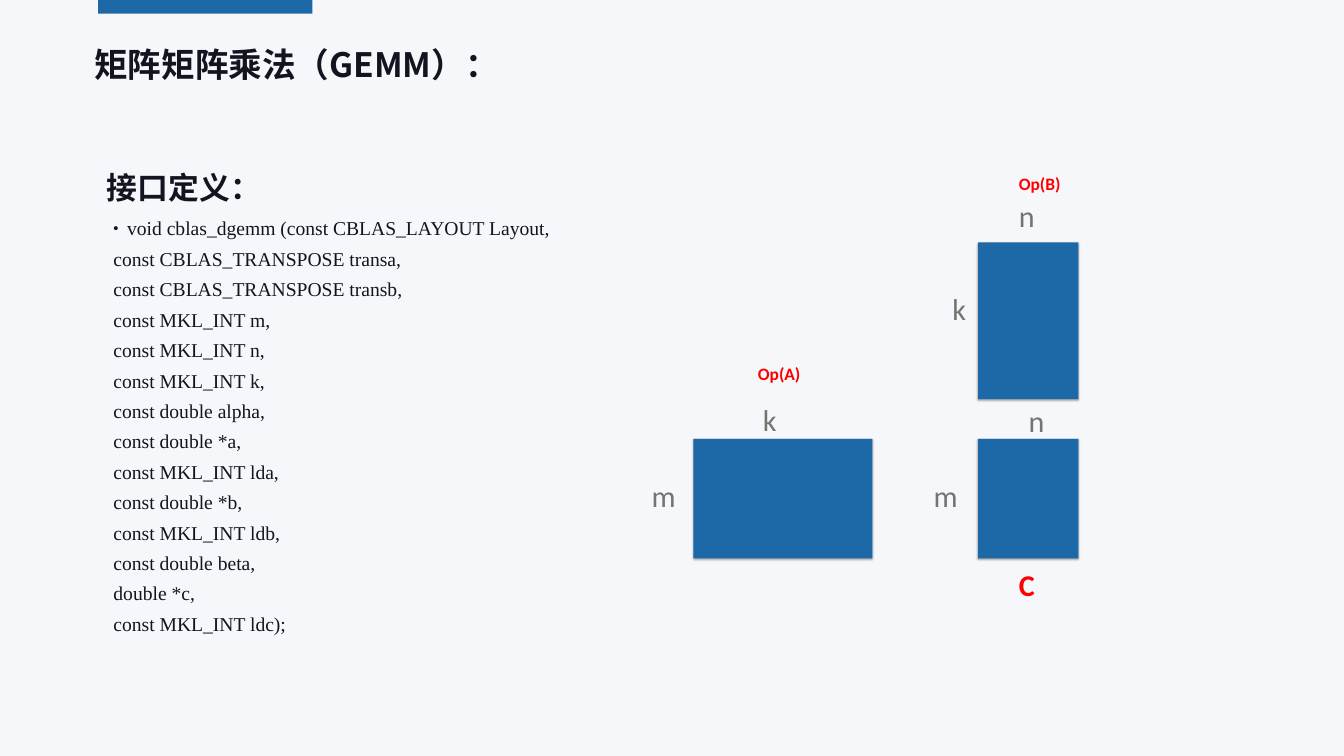
"""Build the GEMM interface slide with its matrix shape diagram."""
from lxml import etree
from pptx import Presentation
from pptx.dml.color import RGBColor
from pptx.enum.shapes import MSO_SHAPE
from pptx.enum.text import MSO_ANCHOR, PP_ALIGN
from pptx.oxml import parse_xml
from pptx.oxml.ns import nsdecls, qn
from pptx.util import Cm, Pt

RECTANGLE = MSO_SHAPE.RECTANGLE
TOP = MSO_ANCHOR.TOP
LEFT = PP_ALIGN.LEFT

THEME = {
    "background": RGBColor(0xF6, 0xF7, 0xFA),
    "blue": RGBColor(0x1D, 0x68, 0xA6),
    "title": {"name": "Noto Sans CJK SC", "size": Pt(48), "bold": True, "color": RGBColor(0x12, 0x15, 0x20)},
    "heading": {"name": "Noto Sans CJK SC", "size": Pt(44), "bold": True, "color": RGBColor(0x12, 0x15, 0x20)},
    "code": {"name": "Times New Roman", "size": Pt(28), "bold": False, "color": RGBColor(0x12, 0x15, 0x20)},
    "dimension": {"name": "Calibri", "size": Pt(43), "bold": False, "color": RGBColor(0x73, 0x75, 0x72)},
    "matrix": {"name": "Calibri", "size": Pt(43), "bold": True, "color": RGBColor(0xFF, 0x00, 0x00)},
}

SHADOW = (
    f'<a:effectLst {nsdecls("a")}><a:outerShdw blurRad="39370" dist="22860" dir="5400000" rotWithShape="0">'
    '<a:srgbClr val="000000"><a:alpha val="35000"/></a:srgbClr></a:outerShdw></a:effectLst>'
)


def add_text(paragraph, text, style):
    run = paragraph.add_run()
    run.text = text
    for name, value in THEME[style].items():
        if name == "color":
            run.font.color.rgb = value
        else:
            setattr(run.font, name, value)
    properties = run._r.get_or_add_rPr()
    etree.SubElement(properties, qn("a:ea")).set("typeface", THEME[style]["name"])
    return properties


def add_block(slide, left, top, width, height):
    shape = slide.shapes.add_shape(RECTANGLE, Cm(left), Cm(top), Cm(width), Cm(height))
    shape.fill.solid()
    shape.fill.fore_color.rgb = THEME["blue"]
    shape.line.fill.background()
    shape.shadow.inherit = False
    return shape


presentation = Presentation()
presentation.slide_width = Cm(67.74)
presentation.slide_height = Cm(38.1)
slide = presentation.slides.add_slide(presentation.slide_layouts[5])
slide.background.fill.solid()
slide.background.fill.fore_color.rgb = THEME["background"]

add_block(slide, 4.95, 0, 10.8, 0.69)

title = slide.shapes.title
title_place = {"left": Cm(4.5), "top": Cm(2.08), "width": Cm(58.17), "height": Cm(3.12)}
for name, value in title_place.items():
    setattr(title, name, value)
title.text_frame.vertical_anchor = TOP
title_paragraph = title.text_frame.paragraphs[0]
title_paragraph.alignment = LEFT
add_text(title_paragraph, "矩阵矩阵乘法（GEMM）：", "title")

body = slide.shapes.add_textbox(Cm(4.78), Cm(6.32), Cm(58.17), Cm(28.47)).text_frame
body_format = {
    "word_wrap": True,
    "margin_left": Cm(0.61),
    "margin_right": Cm(0.61),
    "margin_top": Cm(0.3),
    "margin_bottom": Cm(0.3),
}
for name, value in body_format.items():
    setattr(body, name, value)
heading = body.paragraphs[0]
heading.line_spacing = 2.0
heading.space_after = Pt(6)
add_text(heading, "接口定义：", "heading")

CODE_LINES = [
    "void cblas_dgemm (const CBLAS_LAYOUT Layout,",
    "const CBLAS_TRANSPOSE transa,",
    "const CBLAS_TRANSPOSE transb,",
    "const MKL_INT m,",
    "const MKL_INT n,",
    "const MKL_INT k,",
    "const double alpha,",
    "const double *a,",
    "const MKL_INT lda,",
    "const double *b,",
    "const MKL_INT ldb,",
    "const double beta,",
    "double *c,",
    "const MKL_INT ldc);",
]
for index, line in enumerate(CODE_LINES):
    paragraph = body.add_paragraph()
    paragraph.level = 1
    paragraph.line_spacing = 1.1
    paragraph.space_before = Pt(6.5)
    properties = paragraph._p.get_or_add_pPr()
    margin, indent = (Cm(1.02), Cm(-0.69)) if index == 0 else (Cm(0.33), 0)
    properties.set("marL", str(margin))
    properties.set("indent", str(indent))
    if index == 0:
        etree.SubElement(properties, qn("a:buSzPct")).set("val", "75000")
        etree.SubElement(properties, qn("a:buFont")).set("typeface", "Arial")
        etree.SubElement(properties, qn("a:buChar")).set("char", "•")
    add_text(paragraph, line, "code")

MATRICES = [
    (34.95, 22.12, 9.02, 6.02),
    (49.3, 12.22, 5.05, 7.9),
    (49.3, 22.12, 5.05, 6.02),
]
for place in MATRICES:
    matrix = add_block(slide, *place)
    matrix._element.spPr.remove(matrix._element.spPr.find(qn("a:effectLst")))
    matrix._element.spPr.append(parse_xml(SHADOW))

LABELS = [
    ("m", 32.59, 23.95, 1.96, 2.39, "dimension"),
    ("k", 38.2, 20.12, 1.27, 2.39, "dimension"),
    ("m", 46.81, 23.95, 1.96, 2.39, "dimension"),
    ("n", 51.1, 9.8, 1.5, 2.39, "dimension"),
    ("k", 47.75, 14.53, 1.27, 2.39, "dimension"),
    ("Op(A)", 37.95, 18.01, 3, 1.47, "matrix"),
    ("Op(B)", 51.1, 8.43, 2.95, 1.47, "matrix"),
    ("C", 51.1, 28.4, 1.5, 2.39, "matrix"),
    ("n", 51.59, 20.14, 1.5, 2.39, "dimension"),
]
for text, left, top, width, height, style in LABELS:
    frame = slide.shapes.add_textbox(Cm(left), Cm(top), Cm(width), Cm(height)).text_frame
    frame.word_wrap = False
    properties = add_text(frame.paragraphs[0], text, style)
    if text.startswith("Op"):
        properties.set("baseline", "30000")

presentation.save("out.pptx")
